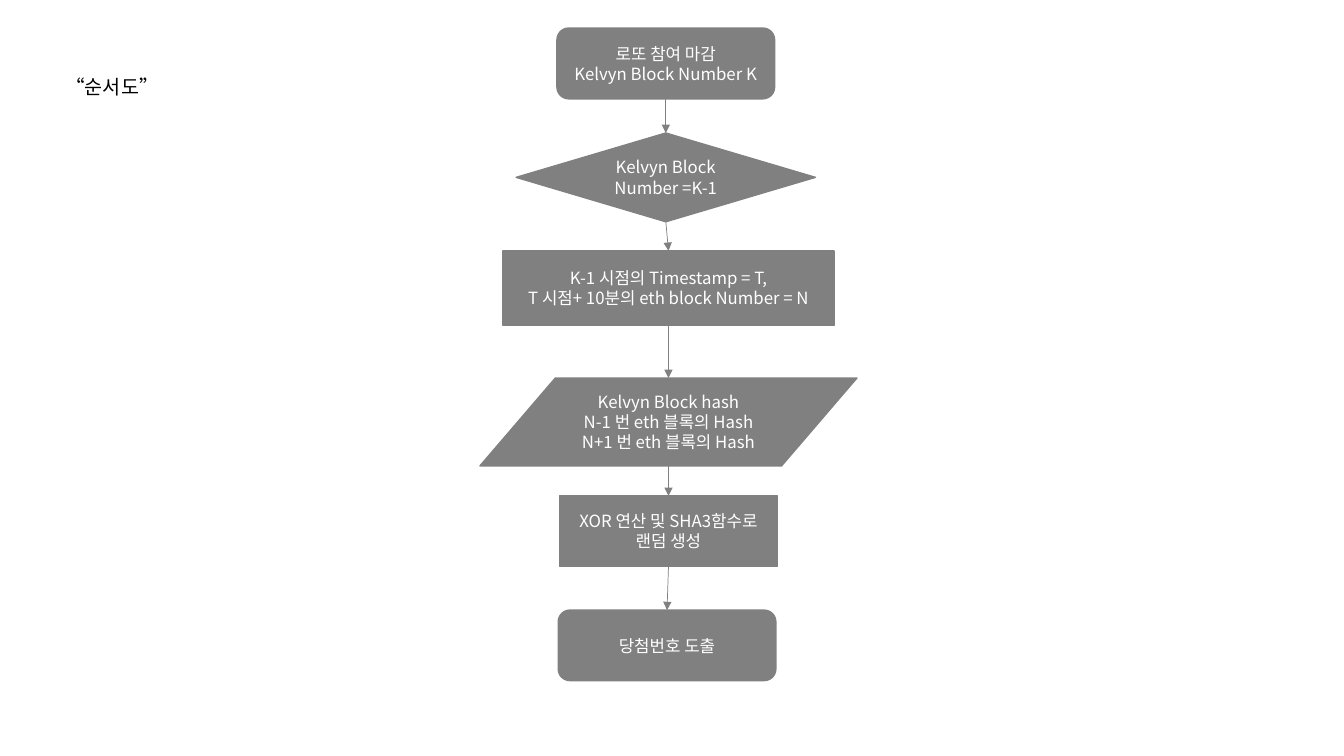
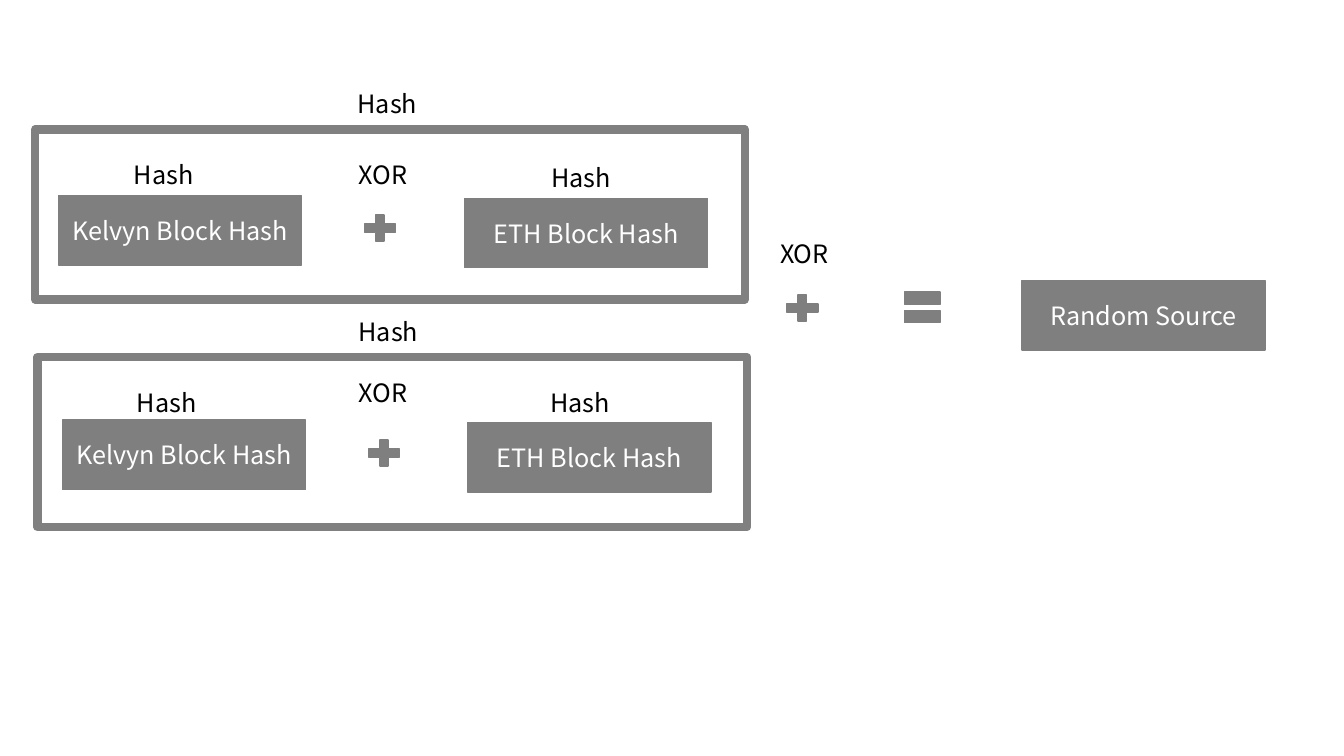
import pptx
import pptx.util
import pptx.dml.color
import pptx.enum.shapes
import pptx.enum.text
import pptx.oxml.ns
import lxml.etree

Pt = pptx.util.Pt
SHAPE = pptx.enum.shapes.MSO_SHAPE
ALIGN = pptx.enum.text.PP_ALIGN
FONT = "Noto Sans CJK KR"
GREY, MID_GREY, WHITE, BLACK = "808080", "7F7F7F", "FFFFFF", "000000"

# Flowchart steps: shape, centre x, top, width, height, paragraphs
FLOW_TITLE = "“순서도”"
STEPS = [
    (SHAPE.FLOWCHART_ALTERNATE_PROCESS, 475.6, 20, 155.5, 50.6,
     ["로또 참여 마감", "Kelvyn Block Number K"]),
    (SHAPE.FLOWCHART_DECISION, 475.6, 95, 213.8, 63.4,
     ["Kelvyn Block Number =K-1"]),
    (SHAPE.FLOWCHART_PROCESS, 477.5, 179.2, 236.2, 53.3,
     ["K-1 시점의 Timestamp = T,", "T 시점+ 10분의 eth block Number = N"]),
    (SHAPE.FLOWCHART_DATA, 477.5, 270, 269.3, 62.8,
     ["Kelvyn Block hash", "N-1 번 eth 블록의 Hash", "N+1 번 eth 블록의 Hash"]),
    (SHAPE.FLOWCHART_PROCESS, 477.5, 354.2, 155.5, 50.4,
     ["XOR 연산 및 SHA3함수로 랜덤 생성"]),
    (SHAPE.FLOWCHART_ALTERNATE_PROCESS, 476.5, 435.8, 155.5, 50.4,
     ["당첨번호 도출"]),
]

# Hash diagram: left and top of every part
HASH_BOXES = [
    ("Kelvyn Block Hash", 41.8, 139.7), ("ETH Block Hash", 331.9, 141.6),
    ("Kelvyn Block Hash", 44.6, 300), ("ETH Block Hash", 334.1, 301.9),
    ("Random Source", 730, 200.3),
]
FRAMES = [(25.2, 92.4), (26.8, 255.1)]
PLUSES = [(256.3, 150.3), (259.2, 311), (558, 207.4)]
LABELS = [
    ("XOR", 76.3, [(249.1, 110.2), (249.1, 265.7), (550.1, 167)]),
    ("Hash", 127.4, [(248.4, 59.8), (88.6, 110.2), (386.6, 112.3),
                     (249.1, 222.5), (90.7, 272.9), (385.9, 272.9)]),
]


def rgb(code):
    return pptx.dml.color.RGBColor.from_string(code)


def write(shape, lines, size, color, align):
    tf = shape.text_frame
    tf.word_wrap = True
    for i, line in enumerate(lines):
        p = tf.add_paragraph() if i else tf.paragraphs[0]
        p.alignment = align
        r = p.add_run()
        r.text = line
        r.font.size = Pt(size)
        r.font.name = FONT
        r.font.color.rgb = rgb(color)
        ea = lxml.etree.SubElement(r.font._element, pptx.oxml.ns.qn("a:ea"))
        ea.set("typeface", FONT)


def add_box(s, kind, x, y, w, h, fill, lines=(), size=18, line=MID_GREY, weight=1):
    sp = s.shapes.add_shape(kind, Pt(x), Pt(y), Pt(w), Pt(h))
    sp.shadow.inherit = False
    if fill:
        sp.fill.solid()
        sp.fill.fore_color.rgb = rgb(fill)
    else:
        sp.fill.background()
    sp.line.color.rgb = rgb(line)
    sp.line.width = Pt(weight)
    sp.text_frame.vertical_anchor = pptx.enum.text.MSO_ANCHOR.MIDDLE
    write(sp, lines, size, WHITE, ALIGN.CENTER)


def add_label(s, text, x, y, w, h, size):
    tb = s.shapes.add_textbox(Pt(x), Pt(y), Pt(w), Pt(h))
    write(tb, [text], size, BLACK, ALIGN.LEFT)
    tb.text_frame.auto_size = pptx.enum.text.MSO_AUTO_SIZE.SHAPE_TO_FIT_TEXT


def add_arrow(s, x1, y1, x2, y2):
    cx = s.shapes.add_connector(pptx.enum.shapes.MSO_CONNECTOR.STRAIGHT,
                                Pt(x1), Pt(y1), Pt(x2), Pt(y2))
    cx.line.color.rgb = rgb(GREY)
    cx.line.width = Pt(0.5)
    qn = pptx.oxml.ns.qn
    tail = lxml.etree.SubElement(cx.line._get_or_add_ln(), qn("a:tailEnd"))
    tail.set("type", "triangle")
    lxml.etree.SubElement(cx._element.spPr, qn("a:effectLst"))


prs = pptx.Presentation()
prs.slide_width, prs.slide_height = Pt(960), Pt(540)
blank = prs.slide_layouts[6]

# Slide 1: flowchart, each arrow running from one step's foot to the next step's top
s = prs.slides.add_slide(blank)
for kind, mid, top, w, h, lines in STEPS:
    add_box(s, kind, mid - w / 2, top, w, h, GREY, lines, 12, GREY)
for (_, mid, top, _, h, _), (_, next_mid, next_top, *_) in zip(STEPS, STEPS[1:]):
    add_arrow(s, mid, top + h, next_mid, next_top)
add_label(s, FLOW_TITLE, 39.6, 49.7, 230.4, 24.5, 14)

# Slide 2: two hashed pairs combined into the random source
s = prs.slides.add_slide(blank)
for text, x, y in HASH_BOXES:
    add_box(s, SHAPE.RECTANGLE, x, y, 173.7, 49.7, MID_GREY, [text])
for x, y in PLUSES:
    add_box(s, SHAPE.MATH_PLUS, x, y, 30.2, 25.2, MID_GREY)
add_box(s, SHAPE.MATH_EQUAL, 641.5, 200.9, 34.6, 37.4, MID_GREY)
for x, y in FRAMES:
    add_box(s, SHAPE.RECTANGLE, x, y, 506.9, 121.5, None, line=GREY, weight=6)
for text, w, places in LABELS:
    for x, y in places:
        add_label(s, text, x, y, w, 28.8, 18)

prs.save("out.pptx")
